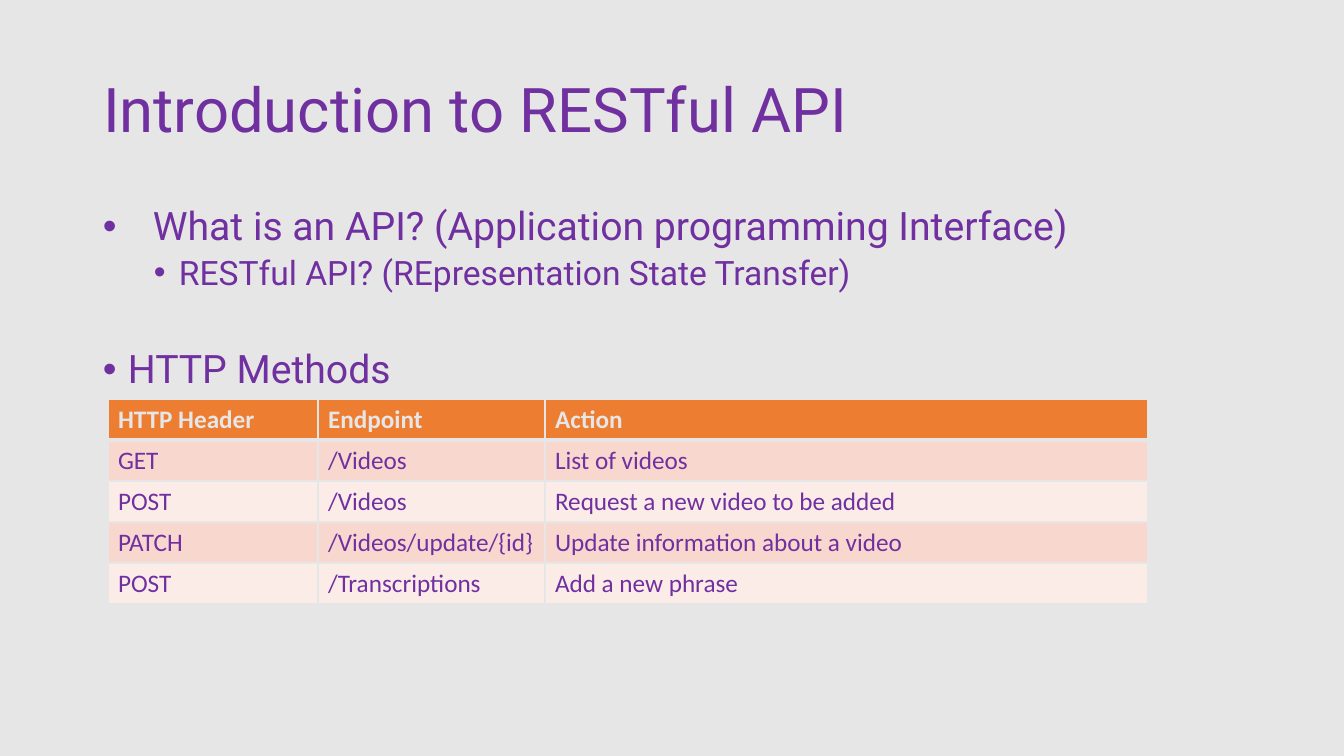
from lxml import etree
from pptx import Presentation, util as u
from pptx.dml.color import RGBColor
from pptx.enum import text
from pptx.oxml import ns

PURPLE = RGBColor(0x70, 0x30, 0xA0)
GRAY = RGBColor(0xE7, 0xE6, 0xE6)
ORANGE = RGBColor(0xED, 0x7D, 0x31)
PINK = RGBColor(0xF8, 0xD7, 0xCE)
PALE = RGBColor(0xFC, 0xEC, 0xE8)
SCALE = 914400 / 100.8


def px(num):
    return u.Emu(round(num * SCALE))


def write(para, words, size, font="Roboto", color=PURPLE, bold=False, line=0.9, before=0):
    para.alignment = text.PP_ALIGN.LEFT
    para.line_spacing = line
    para.space_before = u.Pt(before)
    run = para.add_run()
    run.text = words
    run.font.size = u.Pt(size)
    run.font.name = font
    run.font.bold = bold
    run.font.color.rgb = color


deck = Presentation()
deck.slide_width, deck.slide_height = px(1344), px(756)
slide = deck.slides.add_slide(deck.slide_layouts[5])
slide.background.fill.solid()
slide.background.fill.fore_color.rgb = GRAY

# Title
title = slide.shapes.title
title.left, title.top, title.width, title.height = px(93), px(40), px(1159), px(146)
frame = title.text_frame
frame.auto_size = text.MSO_AUTO_SIZE.NONE
frame.vertical_anchor = text.MSO_ANCHOR.MIDDLE
write(frame.paragraphs[0], "Introduction to RESTful API", 44)

# Bullets: words, level, size, space before, left margin, hanging indent
points = [
    ("What is an API? (Application programming Interface)", 0, 28, 0, 50, 50),
    ("RESTful API? (REpresentation State Transfer)", 1, 24, 5, 76, 25),
    ("HTTP Methods", 0, 28, 41, 25, 25),
]
frame = slide.shapes.add_textbox(px(93), px(202), px(1159), px(480)).text_frame
frame.word_wrap = True
for i, (words, level, size, before, left, hang) in enumerate(points):
    para = frame.add_paragraph() if i else frame.paragraphs[0]
    para.level = level
    write(para, words, size, before=before)
    props = para._p.get_or_add_pPr()
    props.set("marL", str(px(left)))
    props.set("indent", str(-px(hang)))
    etree.SubElement(props, ns.qn("a:buFont"), typeface="Arial")
    etree.SubElement(props, ns.qn("a:buChar"), char="•")

# Table of methods
rows = [
    ("HTTP Header", "Endpoint", "Action"),
    ("GET", "/Videos", "List of videos"),
    ("POST", "/Videos", "Request a new video to be added"),
    ("PATCH", "/Videos/update/{id}", "Update information about a video"),
    ("POST", "/Transcriptions", "Add a new phrase"),
]
widths = [210, 227, 603]
table = slide.shapes.add_table(len(rows), len(widths), px(108), px(399),
                               px(sum(widths)), px(41 * len(rows))).table
table.horz_banding = False
for col, width in zip(table.columns, widths):
    col.width = px(width)
for i, row in enumerate(rows):
    head = i == 0
    for j, words in enumerate(row):
        cell = table.cell(i, j)
        write(cell.text_frame.paragraphs[0], words, 18, font="Calibri",
              color=GRAY if head else PURPLE, bold=head, line=1.0)
        props = cell._tc.get_or_add_tcPr()
        for side in "LRTB":
            thick = 3 if (i, side) in ((0, "B"), (1, "T")) else 1
            edge = etree.SubElement(props, ns.qn("a:ln" + side), w=str(u.Pt(thick)))
            fill = etree.SubElement(edge, ns.qn("a:solidFill"))
            etree.SubElement(fill, ns.qn("a:srgbClr"), val=str(GRAY))
        cell.fill.solid()
        cell.fill.fore_color.rgb = ORANGE if head else (PALE, PINK)[i % 2]

deck.save("out.pptx")
